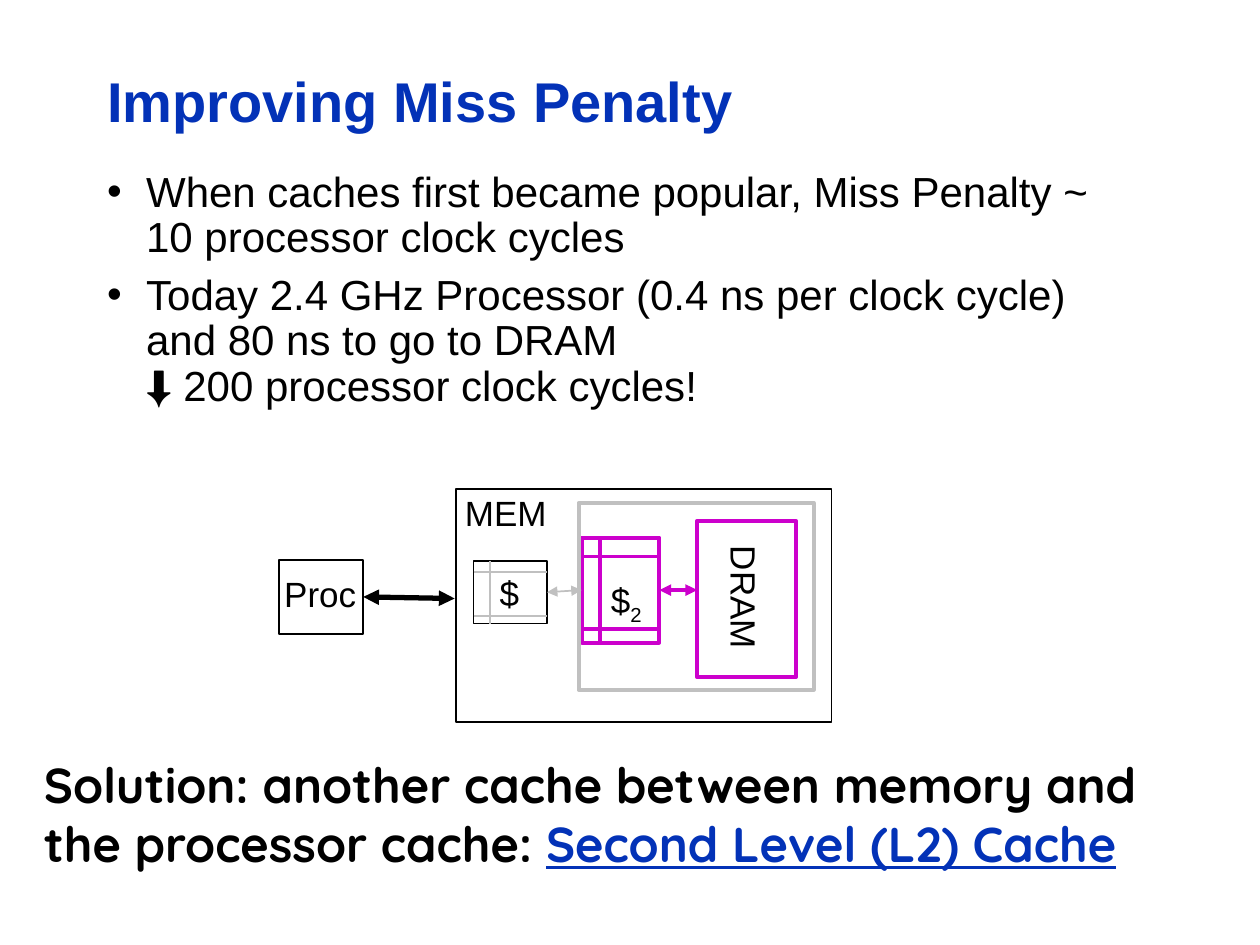
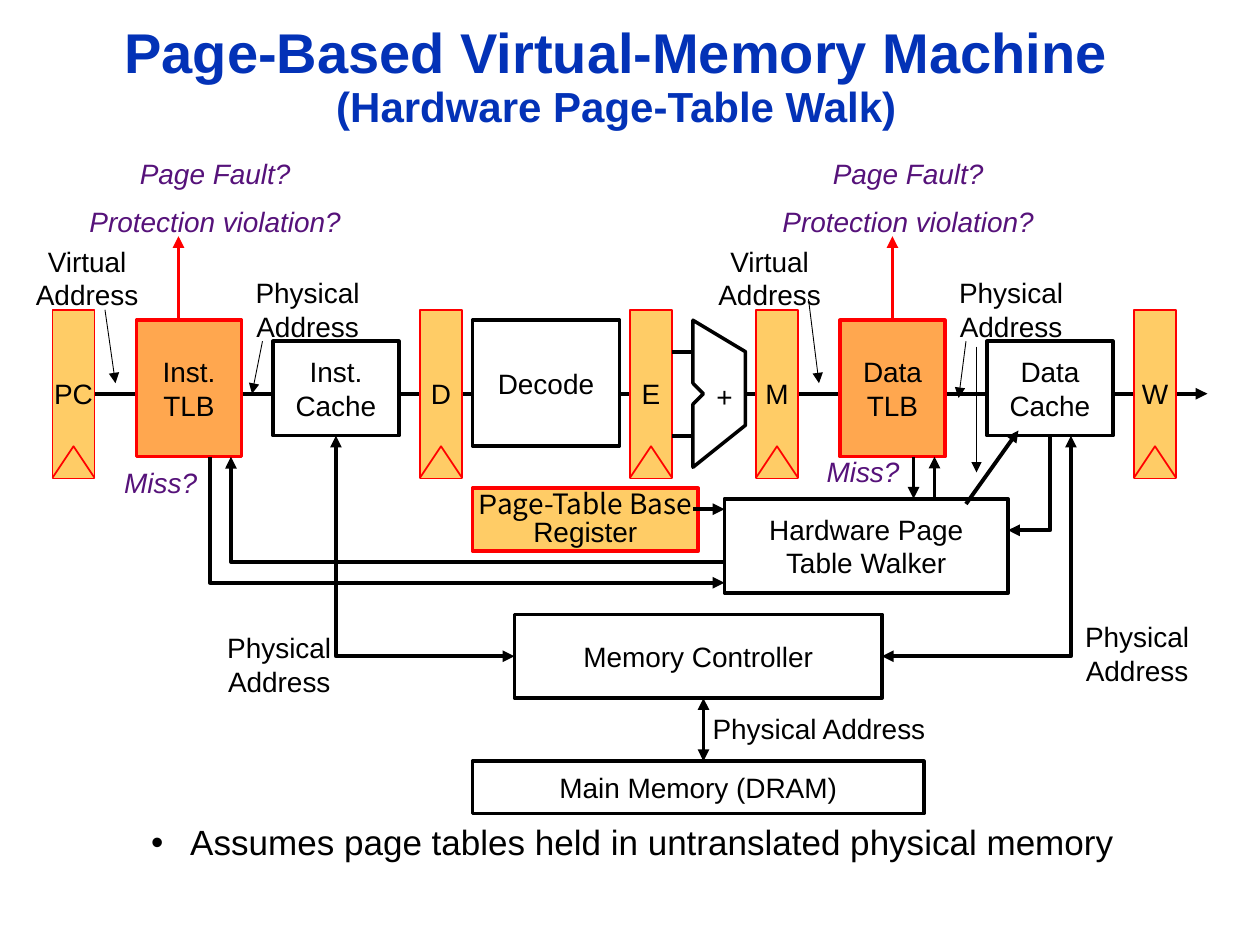
"""Build two slides on caches and paged memory, laid out on a grid of 120 by 90 cells."""

from copy import deepcopy
from dataclasses import dataclass, replace
from typing import NamedTuple, Optional

from lxml.etree import SubElement as Sub
from pptx import Presentation
from pptx.dml.color import RGBColor as Rgb
from pptx.enum.shapes import MSO_CONNECTOR as Link, MSO_SHAPE as Form
from pptx.enum.text import MSO_ANCHOR as Anchor, MSO_AUTO_SIZE as Fit, PP_ALIGN as Align
from pptx.oxml.ns import qn
from pptx.util import Inches, Pt

CELL = Inches(10) / 120
TOP, LEFT, RIGHT = 0, 1, 3


@dataclass(frozen=True)
class Ink:
    size: float
    color: str = "000000"
    font: str = "Arial"
    bold: bool = False
    slant: bool = False
    under: bool = False


@dataclass(frozen=True)
class Theme:
    black: str = "000000"
    white: str = "FFFFFF"
    gray: str = "C0C0C0"
    pink: str = "CC00CC"
    red: str = "FF0000"
    sand: str = "FFCC66"
    peach: str = "FFA74F"
    blue: str = "0332B7"
    title: Ink = Ink(32, "0332B7", bold=True)
    body: Ink = Ink(24)
    small: Ink = Ink(20)
    label: Ink = Ink(16)
    alert: Ink = Ink(16, "56127A", slant=True)
    lesson: Ink = Ink(28, font="Quicksand", bold=True)
    thin: float = 0.5
    fine: float = 1
    edge: float = 2
    wire: float = 2.25
    bus: float = 3


LOOK = Theme()


class Area(NamedTuple):
    x: float
    y: float
    w: float
    h: float


class Pen(NamedTuple):
    color: str = LOOK.black
    width: float = LOOK.wire


class Block(NamedTuple):
    text: str
    area: Area
    fill: str = LOOK.white
    edge: str = LOOK.black


class Label(NamedTuple):
    lines: list[str]
    area: Area
    ink: Ink = LOOK.label
    wrap: bool = False


class Wire(NamedTuple):
    points: list[tuple[float, float]]
    ends: str = ""
    pen: Pen = Pen()


class Cache(NamedTuple):
    area: Area
    text: str
    spot: Area
    rows: tuple[float, float]
    col: float
    edge: Pen
    rule: Pen


def span(*cells: float) -> list[int]:
    return [round(cell * CELL) for cell in cells]


def tint(run, ink: Ink) -> None:
    font = run.font
    font.size, font.name = Pt(ink.size), ink.font
    font.bold, font.italic, font.underline = ink.bold, ink.slant, ink.under
    font.color.rgb = Rgb.from_string(ink.color)


def write(frame, lines: list[str], ink: Ink, align=Align.LEFT,
          lead: Optional[float] = None, gap: float = 0, dots: bool = False) -> None:
    for i, line in enumerate(lines):
        para = frame.add_paragraph() if i else frame.paragraphs[0]
        para.text = line
        para.alignment, para.space_before = align, Pt(gap if i else 0)
        if lead:
            para.line_spacing = lead
        if dots:
            props = para._p.get_or_add_pPr()
            inset = Inches(0.31)
            props.set("marL", str(inset))
            props.set("indent", str(-inset))
            Sub(props, qn("a:buChar"), char="•")
        for run in para.runs:
            tint(run, ink)
        for brk in para._p.findall(qn("a:br")):
            brk.append(deepcopy(para.runs[0]._r.rPr))


def extend(para, text: str, ink: Ink):
    run = para.add_run()
    run.text = text
    tint(run, ink)
    return run


def seat(holder, area: Area, lines: list[str], ink: Ink, align=Align.LEFT, dots: bool = False):
    holder.left, holder.top, holder.width, holder.height = span(*area)
    frame = holder.text_frame
    frame.auto_size = Fit.NONE
    write(frame, lines, ink, align, lead=0.9, gap=7, dots=dots)
    return frame


def stroke(shape, pen: Pen, ends: str = "") -> None:
    line = shape.line
    line.color.rgb, line.width = Rgb.from_string(pen.color), Pt(pen.width)
    for end in ends.split():
        Sub(line._get_or_add_ln(), qn(f"a:{end}End"), type="triangle")


def paint(shape, fill: Optional[str], pen: Pen, ends: str = ""):
    shape.shadow.inherit = False
    if fill:
        shape.fill.solid()
        shape.fill.fore_color.rgb = Rgb.from_string(fill)
    else:
        shape.fill.background()
    stroke(shape, pen, ends)
    return shape


def rect(slide, area: Area, fill: Optional[str], pen: Pen):
    return paint(slide.shapes.add_shape(Form.RECTANGLE, *span(*area)), fill, pen)


def block(slide, item: Block, width: float = LOOK.edge, wrap: bool = True):
    shape = rect(slide, item.area, item.fill, Pen(item.edge, width))
    frame = shape.text_frame
    frame.word_wrap, frame.vertical_anchor = wrap, Anchor.MIDDLE
    write(frame, [item.text], LOOK.label, Align.CENTER)
    return shape


def label(slide, item: Label, align=Align.CENTER, anchor=Anchor.MIDDLE):
    frame = slide.shapes.add_textbox(*span(*item.area)).text_frame
    frame.word_wrap, frame.auto_size = item.wrap, Fit.SHAPE_TO_FIT_TEXT
    frame.vertical_anchor = anchor
    write(frame, item.lines, item.ink, align, gap=8)
    return frame


def trace(slide, points, fill: Optional[str], pen: Pen, ends: str = "", close: bool = False):
    pts = [tuple(span(*point)) for point in points]
    maker = slide.shapes.build_freeform(*pts[0])
    maker.add_line_segments(pts[1:], close=close)
    return paint(maker.convert_to_shape(), fill, pen, ends)


def wire(slide, item: Wire):
    if len(item.points) > 2:
        return trace(slide, item.points, None, item.pen, item.ends)
    start, stop = item.points
    line = slide.shapes.add_connector(Link.STRAIGHT, *span(*start, *stop))
    stroke(line, item.pen, item.ends)
    Sub(line._element.spPr, qn("a:effectLst"))
    return line


def cache(slide, item: Cache):
    x, y, w, h = item.area
    shape = rect(slide, item.area, None, item.edge)
    frame = label(slide, Label([item.text], item.spot, LOOK.small), Align.LEFT, Anchor.TOP)
    for row in item.rows:
        wire(slide, Wire([(x, row), (x + w, row)], pen=item.rule))
    wire(slide, Wire([(item.col, y), (item.col, y + h)], pen=item.rule))
    return shape, frame


def stage(slide, text: str, col: float):
    item = Block(text, Area(col, 29.5, 4, 16), LOOK.sand, LOOK.red)
    shape = block(slide, item, LOOK.fine, wrap=False)
    notch = [(col, 45.5), (col + 2, 42.5), (col + 4, 45.5)]
    trace(slide, notch, LOOK.sand, Pen(LOOK.red, LOOK.fine))
    return shape


def penalty(slide) -> None:
    title, body = slide.placeholders
    seat(title, Area(9, 4.3, 101, 11.3), ["Improving Miss Penalty"], LOOK.title)
    seat(body, Area(9, 15.7, 101, 70.3), [
        "When caches first became popular, Miss Penalty ~ 10 processor clock cycles",
        "Today 2.4 GHz Processor (0.4 ns per clock cycle) and 80 ns to go to DRAM \n"
        "⬇ 200 processor clock cycles!"], LOOK.body, dots=True)
    thin, pink, gray = Pen(width=LOOK.fine), Pen(LOOK.pink), Pen(LOOK.gray, LOOK.fine)
    label(slide, Label(["Proc"], Area(25.8, 53.9, 9.4, 5.3), LOOK.small), anchor=Anchor.TOP)
    proc = rect(slide, Area(26.6, 53.3, 8, 7.1), None, thin)
    rect(slide, Area(43.4, 46.6, 35.8, 22.2), LOOK.white, thin)
    bus = wire(slide, Wire([(34.3, 56.9), (43.3, 57)], "head tail", Pen(width=LOOK.bus)))
    bus.begin_connect(proc, RIGHT)

    second, frame = cache(slide, Cache(Area(55.4, 51.2, 7.4, 10), "$", Area(57, 54.5, 5.5, 5.3),
                                       (53, 59.9), 57.1, pink, pink))
    sub = extend(frame.paragraphs[0], "2", LOOK.small)
    sub._r.get_or_add_rPr().set("baseline", "-25000")
    rect(slide, Area(66.4, 49.6, 9.4, 14.9), None, pink)
    dram = label(slide, Label(["DRAM"], Area(67, 50.8, 6.5, 11.2), LOOK.small),
                 Align.LEFT, Anchor.TOP)
    dram._txBody.bodyPr.set("vert", "eaVert")
    wire(slide, Wire([(62.8, 56.2), (66.4, 56.2)], "head tail", pink)).begin_connect(second, RIGHT)

    first, _ = cache(slide, Cache(Area(45.1, 53.4, 7, 6), "$", Area(46.4, 53.8, 4.3, 5.3),
                                  (54.5, 58.7), 46.7, thin, gray))
    rect(slide, Area(55.1, 47.9, 22.4, 17.8), None, Pen(LOOK.gray))
    hop = wire(slide, Wire([(52.1, 56.4), (55.4, 56.4)], "head tail", gray))
    hop.begin_connect(first, RIGHT)
    hop.end_connect(second, LEFT)
    label(slide, Label(["MEM"], Area(43.1, 46.2, 10.3, 5.3), LOOK.small), Align.LEFT, Anchor.TOP)
    lesson = label(slide, Label(
        ["Solution: another cache between memory and the processor cache: "],
        Area(3, 71.3, 108.7, 12.5), LOOK.lesson, True), Align.LEFT, Anchor.TOP)
    extend(lesson.paragraphs[0], "Second Level (L2) Cache",
           replace(LOOK.lesson, color=LOOK.blue, under=True))


def machine(slide) -> None:
    title, body = slide.placeholders
    head = seat(title, Area(2, 2, 113.4, 10.9), [
        "Page-Based Virtual-Memory Machine\n(Hardware Page-Table Walk)"], LOOK.title, Align.CENTER)
    head.paragraphs[0].runs[-1].font.size = Pt(LOOK.body.size)
    seat(body, Area(13.2, 78, 100.8, 5.3),
         ["Assumes page tables held in untranslated physical memory"], LOOK.small, dots=True)

    wire(slide, Wire([(71, 37.5), (115, 37.5)], "tail"))
    flow = wire(slide, Wire([(9, 37.5), (63, 37.5)]))
    stages = {text: stage(slide, text, col) for text, col in
              [("PC", 5), ("D", 40), ("E", 60), ("M", 72), ("W", 108)]}
    flow.begin_connect(stages["PC"], RIGHT)
    trace(slide, [(66, 30.5), (66, 36.5), (67, 37.5), (66, 38.5), (66, 44.5), (71, 40.5),
                  (71, 33.5)], LOOK.white, Pen(width=LOOK.edge), close=True)
    blocks = {item.text: block(slide, item) for item in [
        Block("Inst. TLB", Area(13, 30.5, 10, 13), LOOK.peach, LOOK.red),
        Block("Inst. Cache", Area(26, 32.5, 12, 9)),
        Block("Decode", Area(45, 30.5, 14, 12)),
        Block("Data TLB", Area(80, 30.5, 10, 13), LOOK.peach, LOOK.red),
        Block("Data Cache", Area(94, 32.5, 12, 9)),
        Block("Main Memory (DRAM)", Area(45, 72.5, 43, 5)),
        Block("Memory Controller", Area(49, 58.5, 35, 8)),
        Block("Hardware Page Table Walker", Area(69, 47.5, 27, 9)),
        Block("P", Area(45, 46.5, 21.5, 6), LOOK.sand, LOOK.red)]}
    base = blocks["P"].text_frame
    base.margin_left = base.margin_right = base.margin_top = base.margin_bottom = 0
    para = base.paragraphs[0]
    para.line_spacing = 0.85
    extend(para, "age-Table Base", replace(LOOK.label, font="Noto Sans CJK JP"))
    extend(para, " Register", LOOK.label)

    thin, red = Pen(width=LOOK.thin), Pen(LOOK.red)
    for item in [
            Wire([(64, 33.5), (66, 33.5)]), Wire([(64, 41.5), (66, 41.5)]),
            Wire([(17, 30.5), (17, 22.5)], "tail", red),
            Wire([(102, 41.5), (102, 62.5), (84, 62.5)], "head tail"),
            Wire([(32, 41.5), (32, 62.5), (49, 62.5)], "head tail"),
            Wire([(67, 66.5), (67, 72.5)], "head tail"),
            Wire([(25, 32.5), (24, 37.5)], "tail", thin),
            Wire([(10, 29.5), (11, 36.5)], "tail", thin),
            Wire([(92, 32.5), (91.3, 37.9)], "tail", thin),
            Wire([(77, 28.5), (78, 36.5)], "tail", thin),
            Wire([(93, 33), (93, 45)], "tail", thin),
            Wire([(66, 48.5), (69, 48.5)], "tail"),
            Wire([(87, 43.5), (87, 47.5)], "tail"), Wire([(89, 47.5), (89, 43.5)], "tail"),
            Wire([(100, 41.5), (100, 50.5), (96, 50.5)], "tail"),
            Wire([(20, 43.5), (20, 55.5), (69, 55.5)], "tail"),
            Wire([(69, 53.5), (22, 53.5), (22, 43.5)], "tail"),
            Wire([(92, 48), (97, 41)], "tail")]:
        wire(slide, item)
    wire(slide, Wire([(85, 30.5), (85, 22.5)], "tail", red)).begin_connect(blocks["Data TLB"], TOP)

    faults = ["Page Fault?", "Protection violation?"]
    notes = [Label(faults, Area(x, 14.2, 26.4, 9.2), LOOK.alert) for x in (7.3, 73.3)]
    notes += [Label(["Miss?"], Area(x, y, 9.4, 4.4), LOOK.alert)
              for x, y in [(10.6, 43.7), (77.5, 42.7)]]
    notes += [Label([f"{kind} Address"], Area(x, y, 14.6, 7.7), wrap=True) for kind, x, y in [
        ("Physical", 101, 58.4), ("Physical", 19.3, 59.4), ("Physical", 22, 25.6),
        ("Physical", 89, 25.6), ("Virtual", 1, 22.6), ("Virtual", 66, 22.6)]]
    notes += [Label(["Physical Address"], Area(62, 67.2, 32, 4.4), wrap=True),
              Label(["+"], Area(67, 35.5, 4, 4.4))]
    for note in notes:
        label(slide, note)


def main() -> None:
    deck = Presentation()
    deck.slide_width, deck.slide_height = span(120, 90)
    for draw in (penalty, machine):
        draw(deck.slides.add_slide(deck.slide_layouts[1]))
    deck.save("out.pptx")


if __name__ == "__main__":
    main()
